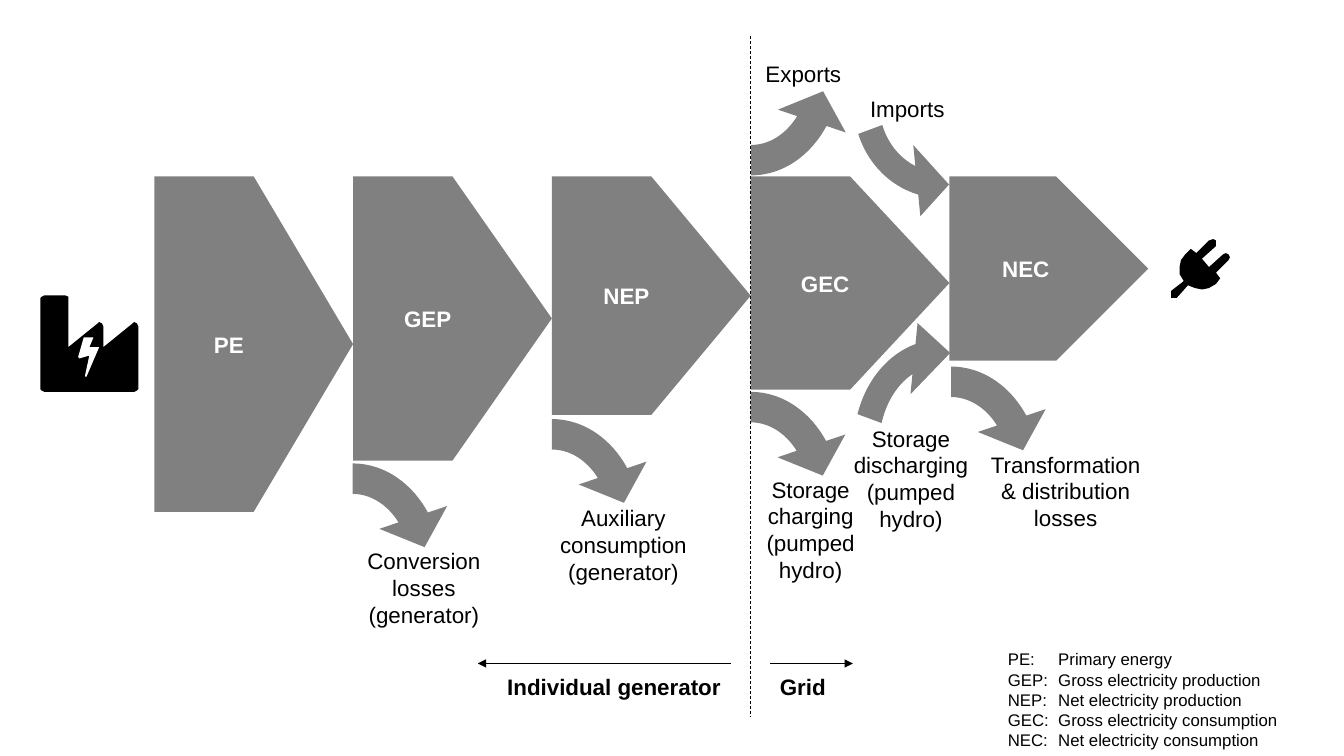
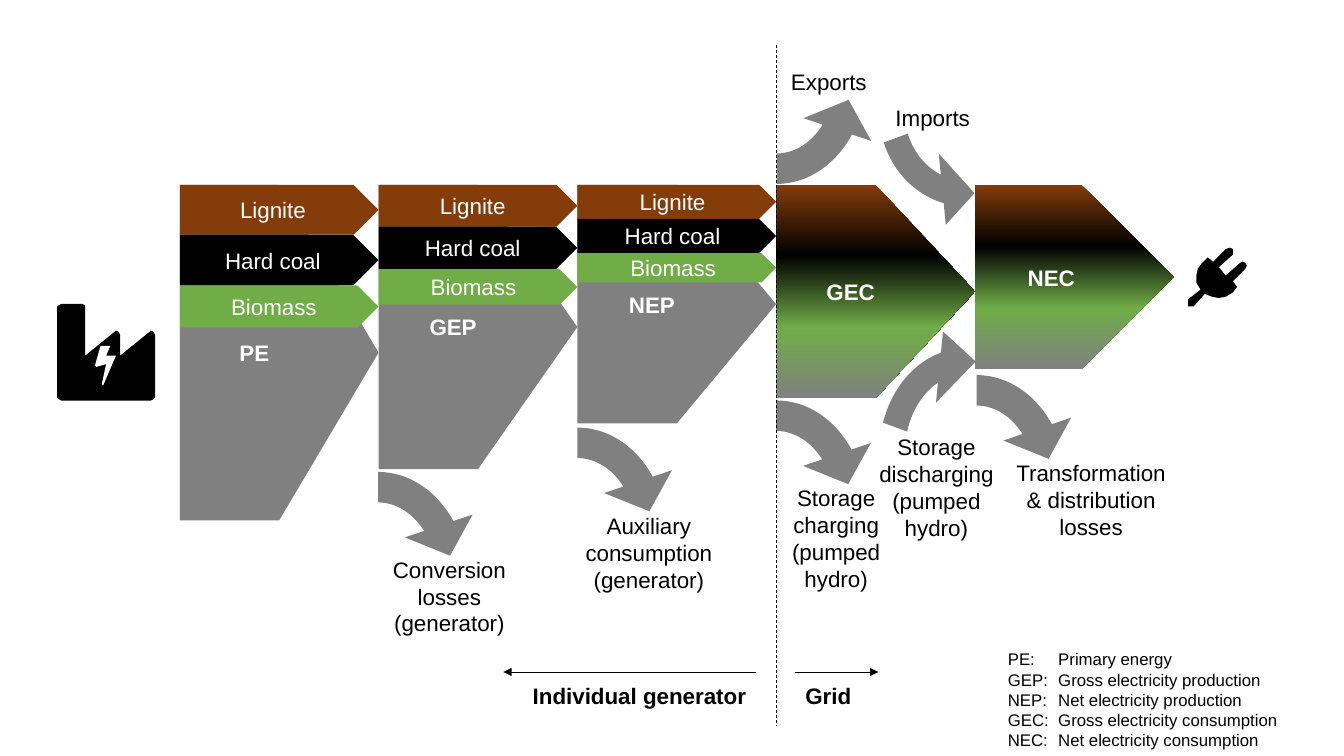
import lxml.etree
import pptx
import pptx.dml.color
import pptx.enum.dml
import pptx.enum.shapes
import pptx.enum.text
import pptx.oxml.ns
import pptx.util

Pt = pptx.util.Pt
qn = pptx.oxml.ns.qn
Shapes = pptx.enum.shapes.MSO_SHAPE
Align = pptx.enum.text.PP_ALIGN

COLORS = {"gray": "808080", "black": "000000", "white": "FFFFFF",
          "brown": "843C0B", "dark brown": "843C0C", "green": "70AD47"}
FONT = "Arial"

# Energy stages: equal widths from left to right, shared top edge
STAGE_LEFT, STAGE_TOP, STAGE_WIDTH = 110.2, 126, 142
STAGES = [("PE", 239.6), ("GEP", 203), ("NEP", 170.4), ("GEC", 152.4), ("NEC", 131.7)]
GRID_STAGES = ("GEC", "NEC")
GRADIENT = [(0, "dark brown"), (33, "black"), (67, "green"), (100, "gray")]

# Fuel bands on the generator stages: band heights per stage
FUELS = [("Lignite", "brown"), ("Hard coal", "black"), ("Biomass", "green")]
BAND_HEIGHTS = [(35.6, 36.2, 30.2), (29.8, 30.4, 25.4), (24.2, 24.5, 20.9)]

# Curved arrows: left, top, width, rotation, flipped, adjustments
OUTFLOW = (0.138, 13.814, 137.019, 108, 0.162)
INFLOW = (0.116, 13.814, 205.588, 174.17, 0.162)
ARROW_HEIGHT = 157.7
CURVED_ARROWS = [
    (160, 329.3, 183.6, 90, False, OUTFLOW),
    (302.4, 297.6, 183.6, 90, False, OUTFLOW),
    (444.4, 278.2, 183.6, 90, False, OUTFLOW),
    (444.4, -31, 184.2, 90, True, OUTFLOW),
    (580.4, 239, 183.6, 270, False, INFLOW),
    (588.2, -5, 167.8, 270, True, INFLOW),
    (587.5, 260.1, 183.6, 90, False, OUTFLOW),
]

# Labels: text, left, top, width, height, alignment, bold
LABELS = [
    ("Conversion losses (generator)", 251.3, 387.4, 103, 65.5, Align.CENTER, False),
    ("Auxiliary consumption\v(generator)", 390.2, 356.4, 110.2, 65.5, Align.CENTER, False),
    ("Exports", 532.8, 39.4, 82.1, 26.6, Align.CENTER, False),
    ("Imports", 607, 64.6, 82.1, 26.6, Align.CENTER, False),
    ("Storage charging (pumped hydro)", 538, 336.2, 82.1, 85, Align.CENTER, False),
    ("Storage discharging (pumped hydro)", 601.4, 299.8, 98.6, 85, Align.CENTER, False),
    ("Transformation & distribution losses", 700.3, 318.4, 121.7, 65.5, Align.CENTER, False),
    ("Grid", 550, 477.4, 82.1, 26.6, Align.LEFT, True),
    ("Individual generator", 348.4, 477.4, 173.5, 26.6, Align.RIGHT, True),
]
LEGEND = ["PE:\tPrimary energy", "GEP:\tGross electricity production",
          "NEP:\tNet electricity production", "GEC:\tGross electricity consumption",
          "NEC:\tNet electricity consumption"]

# Lines: start x, start y, end x, end y, is the dashed divider
LINES = [(536.2, 25.9, 536.2, 512, True),
         (550, 473.9, 609.2, 473.9, False),
         (522, 473.9, 341.3, 473.9, False)]

# Icon outlines: left, top, color, points
PLUG = [(41, 15.1), (31.7, 24.5), (35.3, 28.1), (31.7, 31.7), (27.4, 34.6),
        (22.5, 35.9), (17.3, 35.4), (12.2, 33.1), (4.3, 41.8), (0, 41.8),
        (0, 37.4), (8.6, 29.5), (6.3, 24.9), (5.9, 19.9), (7.1, 15),
        (10.1, 10.8), (14.4, 7.2), (18, 10.1), (27.4, 0.7), (29.5, 0),
        (31.7, 0.7), (32.3, 2.9), (31.7, 5), (21.6, 14.4), (27.4, 20.2),
        (36.7, 10.8), (39, 9.6), (41, 10.8), (42, 13)]
FACTORY = [(20.2, 2.2), (20.2, 36.7), (41, 20.2), (42.5, 19.4), (44, 20),
           (44.6, 22.3), (44.6, 36.7), (65.5, 20.2), (67, 19.4), (69, 20),
           (69.8, 22.3), (69.8, 67), (69, 68.5), (67, 69.1), (2.9, 69.1),
           (0.8, 68.5), (0, 67), (0, 2.2), (0.8, 0.7), (2.9, 0), (18, 0),
           (19.6, 0.7)]
BOLT = [(42.5, 37.4), (33.1, 57.6), (32.4, 58.3), (31.7, 56.9), (35.3, 43.2),
        (28.1, 44.6), (27.4, 43.9), (31, 29.5), (37.4, 29.5), (38.2, 30.2),
        (35.3, 37.4), (41.8, 36.7)]
ICONS = [(836.6, 170.8, "black", PLUG), (28.8, 211, "black", FACTORY),
         (28.8, 211, "white", BOLT)]


def paint(shape, color):
    shape.shadow.inherit = False
    shape.line.fill.background()
    shape.fill.solid()
    shape.fill.fore_color.rgb = pptx.dml.color.RGBColor.from_string(COLORS[color])


def write(shape, lines, color, size=16, bold=False, alignment=Align.CENTER):
    frame = shape.text_frame
    frame.word_wrap = True
    for index, line in enumerate(lines):
        paragraph = frame.add_paragraph() if index else frame.paragraphs[0]
        paragraph.alignment = alignment
        for part_index, part in enumerate(line.split("\v")):
            if part_index:
                paragraph.add_line_break()
            run = paragraph.add_run()
            run.text = part
            run.font.name = FONT
            run.font.size = Pt(size)
            run.font.bold = bold
            run.font.color.rgb = pptx.dml.color.RGBColor.from_string(COLORS[color])


presentation = pptx.Presentation()
presentation.slide_width = Pt(960)
presentation.slide_height = Pt(540)

# The second slide shifts the diagram and adds the fuels
for shift_x, shift_y, icon_shift, with_fuels in [(0, 0, 0, False), (18.2, 6.1, 12, True)]:
    slide = presentation.slides.add_slide(presentation.slide_layouts[6])
    stage_top = STAGE_TOP + shift_y

    # Stages
    for index, (name, height) in enumerate(STAGES):
        shape = slide.shapes.add_shape(
            Shapes.PENTAGON, Pt(STAGE_LEFT + shift_x + index * STAGE_WIDTH),
            Pt(stage_top), Pt(STAGE_WIDTH), Pt(height))
        paint(shape, "gray")
        if with_fuels and name in GRID_STAGES:
            shape.fill.gradient()
            shape.fill.gradient_angle = 270
            stops = shape.element.spPr.find(".//" + qn("a:gsLst"))
            for stop in list(stops):
                stops.remove(stop)
            for position, color in GRADIENT:
                stop = lxml.etree.SubElement(stops, qn("a:gs"), pos=str(position * 1000))
                lxml.etree.SubElement(stop, qn("a:srgbClr"), val=COLORS[color])
        write(shape, [name], "white", bold=True)

    # Curved arrows
    for left, top, width, rotation, flipped, adjustments in CURVED_ARROWS:
        arrow = slide.shapes.add_shape(
            Shapes.CIRCULAR_ARROW, Pt(left + shift_x), Pt(top + shift_y),
            Pt(width), Pt(ARROW_HEIGHT))
        paint(arrow, "gray")
        arrow.rotation = rotation
        for index, value in enumerate(adjustments):
            arrow.adjustments[index] = value
        if flipped:
            arrow.element.spPr.find(qn("a:xfrm")).set("flipH", "1")

    # Fuel bands stacked from the top of each generator stage
    if with_fuels:
        for index, heights in enumerate(BAND_HEIGHTS):
            band_top = stage_top
            for (fuel, color), height in zip(FUELS, heights):
                band = slide.shapes.add_shape(
                    Shapes.PENTAGON, Pt(STAGE_LEFT + shift_x + index * STAGE_WIDTH),
                    Pt(band_top), Pt(STAGE_WIDTH), Pt(height))
                paint(band, color)
                write(band, [fuel], "white")
                band_top += height

    # Labels
    for text, left, top, width, height, alignment, bold in LABELS:
        label = slide.shapes.add_textbox(
            Pt(left + shift_x), Pt(top + shift_y), Pt(width), Pt(height))
        write(label, [text], "black", bold=bold, alignment=alignment)

    # Divider and direction arrows
    for start_x, start_y, end_x, end_y, is_divider in LINES:
        connector = slide.shapes.add_connector(
            pptx.enum.shapes.MSO_CONNECTOR.STRAIGHT,
            Pt(start_x + shift_x), Pt(start_y + shift_y),
            Pt(end_x + shift_x), Pt(end_y + shift_y))
        connector.line.width = Pt(0.5)
        connector.line.color.rgb = pptx.dml.color.RGBColor.from_string(COLORS["black"])
        properties = connector.element.spPr
        if is_divider:
            connector.line.dash_style = pptx.enum.dml.MSO_LINE.DASH
        else:
            lxml.etree.SubElement(properties.find(qn("a:ln")), qn("a:tailEnd"), type="triangle")
        lxml.etree.SubElement(properties, qn("a:effectLst"))

    # Plug and power plant icons
    for left, top, color, points in ICONS:
        builder = slide.shapes.build_freeform(*points[0], scale=Pt(1))
        builder.add_line_segments(points[1:], close=True)
        icon = builder.convert_to_shape(Pt(left + icon_shift), Pt(top + shift_y))
        paint(icon, color)

    # Legend
    legend = slide.shapes.add_textbox(Pt(712.8), Pt(460.1), Pt(247.2), Pt(79.9))
    write(legend, LEGEND, "black", size=12, alignment=Align.LEFT)

presentation.save("out.pptx")
